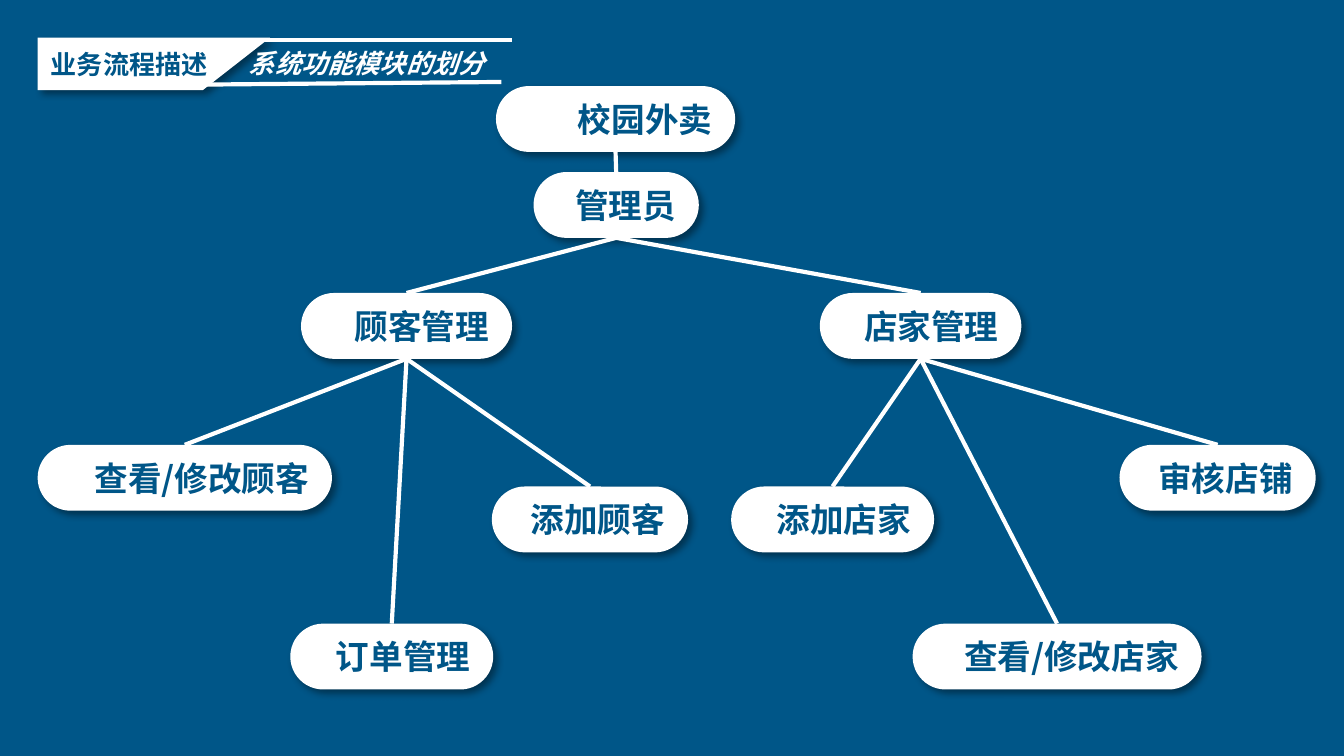
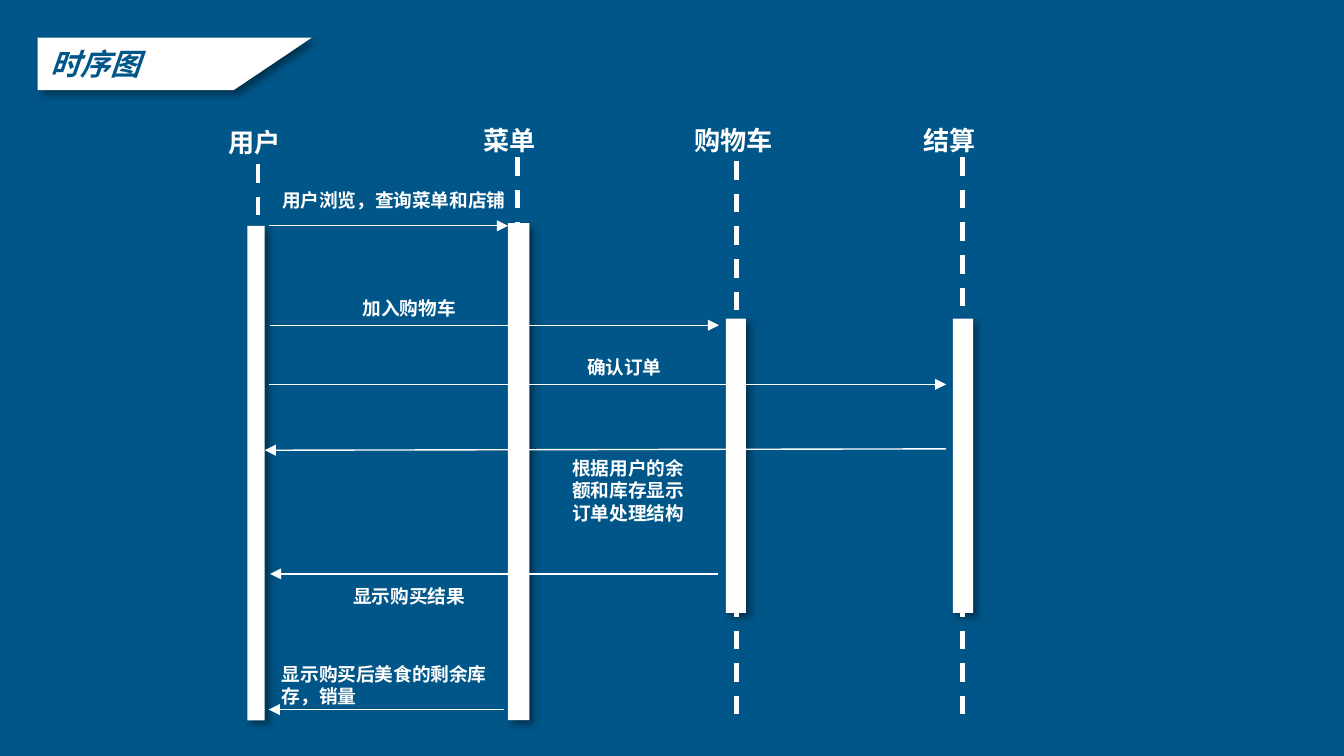
from lxml import etree
from pptx import Presentation
from pptx.dml.color import RGBColor
from pptx.enum.dml import MSO_LINE
from pptx.enum.shapes import MSO_CONNECTOR, MSO_SHAPE
from pptx.enum.text import MSO_ANCHOR, MSO_AUTO_SIZE, PP_ALIGN
from pptx.oxml import parse_xml
from pptx.oxml.ns import nsdecls, qn
from pptx.util import Inches, Pt

RECT, ROUND = MSO_SHAPE.RECTANGLE, MSO_SHAPE.ROUNDED_RECTANGLE
STRAIGHT = MSO_CONNECTOR.STRAIGHT
DASH = MSO_LINE.DASH
MIDDLE = MSO_ANCHOR.MIDDLE
LEFT, RIGHT = PP_ALIGN.LEFT, PP_ALIGN.RIGHT
FIT = MSO_AUTO_SIZE.SHAPE_TO_FIT_TEXT
TOP_SIDE, BOTTOM_SIDE = 0, 2

FONT = "Noto Sans CJK SC"
BLUE, WHITE = "005688", "FFFFFF"
SHADOW = (
    f'<a:effectLst {nsdecls("a")}>'
    '<a:outerShdw blurRad="50800" dist="38100" dir="2700000" algn="tl" rotWithShape="0">'
    '<a:srgbClr val="000000"><a:alpha val="40000"/></a:srgbClr>'
    "</a:outerShdw></a:effectLst>"
)
color = RGBColor.from_string


def write(sp, text, size, hex_color, italic=False, align=LEFT):
    tf = sp.text_frame
    tf.word_wrap = True
    p = tf.paragraphs[0]
    p.text = text
    p.alignment = align
    font = p.font
    font.size, font.bold, font.italic = Pt(size), True, italic
    font.color.rgb = color(hex_color)
    font.name = FONT
    etree.SubElement(p._p.pPr.find(qn("a:defRPr")), qn("a:ea"), typeface=FONT)


def draw_line(s, x1, y1, x2, y2, weight):
    line = s.shapes.add_connector(STRAIGHT, Inches(x1), Inches(y1), Inches(x2), Inches(y2))
    line.line.color.rgb = color(WHITE)
    line.line.width = Pt(weight)
    etree.SubElement(line._element.spPr, qn("a:effectLst"))
    return line


prs = Presentation()
prs.slide_width = Inches(10)
prs.slide_height = Inches(10) * 9 // 16
panels = []  # white shapes with a shadow
labels = []  # slide, left, top, width, height, text, size, italic

# Both slides: background and title flag
flags = [
    (2.01, 1.51, "业务流程描述", 14, False),
    (2.32, 1.74, "时序图", 16, True),
]
for top_right, bottom_right, text, size, italic in flags:
    s = prs.slides.add_slide(prs.slide_layouts[6])
    s.background.fill.solid()
    s.background.fill.fore_color.rgb = color(BLUE)
    outline = s.shapes.build_freeform(Inches(0.28), Inches(0.28))
    outline.add_line_segments(
        [(Inches(x), Inches(y)) for x, y in
         [(top_right, 0.28), (bottom_right, 0.67), (0.28, 0.67)]])
    sp = outline.convert_to_shape()
    sp.text_frame.vertical_anchor = MIDDLE
    write(sp, text, size, BLUE, italic)
    panels.append(sp)
modules, sequence = prs.slides

# Slide 1: module tree
labels.append((modules, 1.71, 0.3, 2.02, 0.34, " 系统功能模块的划分", 14, True))
draw_line(modules, 1.85, 0.3, 3.81, 0.3, 2.25)
draw_line(modules, 1.45, 0.63, 3.73, 0.61, 2.25)

tree = [  # text, parent, left, top, width
    ("校园外卖", None, 3.69, 0.64, 1.78),
    ("管理员", "校园外卖", 3.97, 1.28, 1.23),
    ("顾客管理", "管理员", 2.24, 2.18, 1.57),
    ("店家管理", "管理员", 6.1, 2.18, 1.5),
    ("查看/修改顾客", "顾客管理", 0.28, 3.31, 2.19),
    ("添加顾客", "顾客管理", 3.66, 3.62, 1.46),
    ("订单管理", "顾客管理", 2.16, 4.64, 1.51),
    ("添加店家", "店家管理", 5.44, 3.62, 1.51),
    ("审核店铺", "店家管理", 8.33, 3.31, 1.46),
    ("查看/修改店家", "店家管理", 6.79, 4.64, 2.15),
]
nodes = {}
for text, parent, x, y, w in tree:
    sp = modules.shapes.add_shape(ROUND, Inches(x), Inches(y), Inches(w), Inches(0.49))
    sp.adjustments[0] = 0.5
    sp.text_frame.vertical_anchor = MIDDLE
    write(sp, text, 18, BLUE, align=RIGHT)
    nodes[text] = sp
    panels.append(sp)
    if parent:
        branch = draw_line(modules, x, y, x, y, 2.25)
        branch.begin_connect(nodes[parent], BOTTOM_SIDE)
        branch.end_connect(sp, TOP_SIDE)

# Slide 2: participants with activation bars and dashed lifelines
participants = [  # text, left, top, width; bar left, top, width, height
    ("用户", 1.6, 0.89, 0.64, 1.84, 1.68, 0.13, 3.68),
    ("菜单", 3.5, 0.88, 0.71, 3.78, 1.66, 0.16, 3.7),
    ("购物车", 5.07, 0.88, 0.81, 5.4, 2.37, 0.15, 2.19),
    ("结算", 6.77, 0.88, 0.79, 7.09, 2.37, 0.15, 2.19),
]
for text, x, y, w, *bar in participants:
    labels.append((sequence, x, y, w, 0.34, text, 14, False))
    panels.append(sequence.shapes.add_shape(RECT, *map(Inches, bar)))

lifelines = [  # x, top, bottom
    (1.92, 1.22, 2.15), (3.85, 1.17, 2.09), (5.48, 1.2, 2.51),
    (7.16, 1.17, 2.42), (5.48, 4.45, 5.38), (7.16, 4.45, 5.38),
]
for x, top, bottom in lifelines:
    draw_line(sequence, x, top, x, bottom, 2.5).line.dash_style = DASH

messages = [  # arrow from x, y to x, y; label left, top, width, height, text
    (2, 1.68, 3.78, 1.68, 2, 1.36, 2.05, 0.27, "用户浏览，查询菜单和店铺"),
    (2.01, 2.42, 5.35, 2.42, 2.6, 2.16, 0.9, 0.27, "加入购物车"),
    (2, 2.86, 7.04, 2.86, 4.27, 2.6, 0.79, 0.27, "确认订单"),
    (7.04, 3.34, 1.97, 3.35, 4.16, 3.35, 1.15, 0.61, "根据用户的余额和库存显示订单处理结构"),
    (5.34, 4.27, 2.01, 4.27, 2.53, 4.3, 1.33, 0.27, "显示购买结果"),
    (3.75, 5.28, 2, 5.28, 2, 4.88, 1.76, 0.44, "显示购买后美食的剩余库存，销量"),
]
for x1, y1, x2, y2, *label in messages:
    arrow = draw_line(sequence, x1, y1, x2, y2, 0.75)
    etree.SubElement(arrow.line._get_or_add_ln(), qn("a:tailEnd"), type="triangle")
    labels.append((sequence, *label, 10, False))

# Both slides: free labels and the look of the white panels
for s, x, y, w, h, text, size, italic in labels:
    sp = s.shapes.add_textbox(Inches(x), Inches(y), Inches(w), Inches(h))
    sp.text_frame.auto_size = FIT
    write(sp, text, size, WHITE, italic)

for sp in panels:
    sp.fill.solid()
    sp.fill.fore_color.rgb = color(WHITE)
    sp.line.fill.background()
    sp._element.spPr.append(parse_xml(SHADOW))

prs.save("out.pptx")
